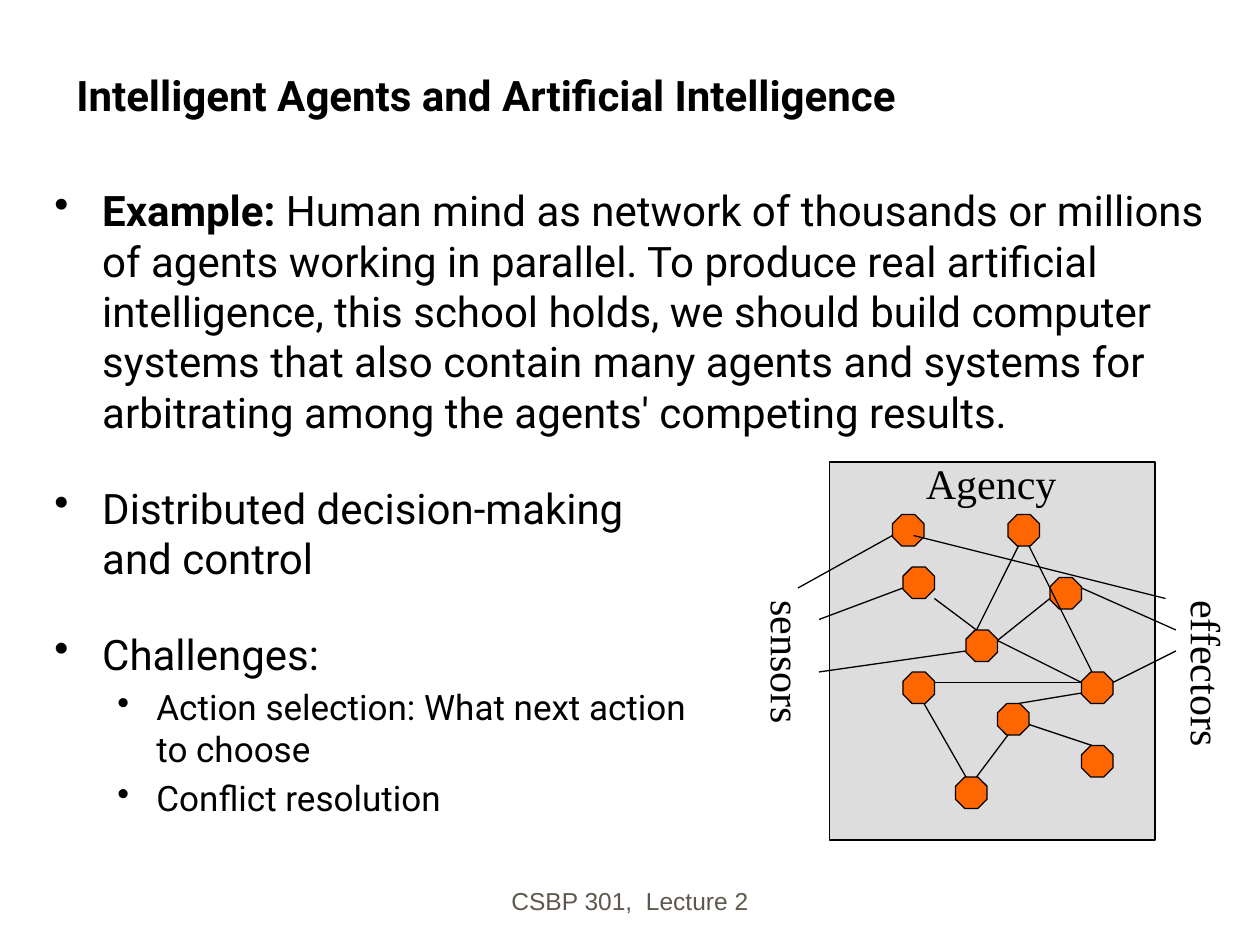
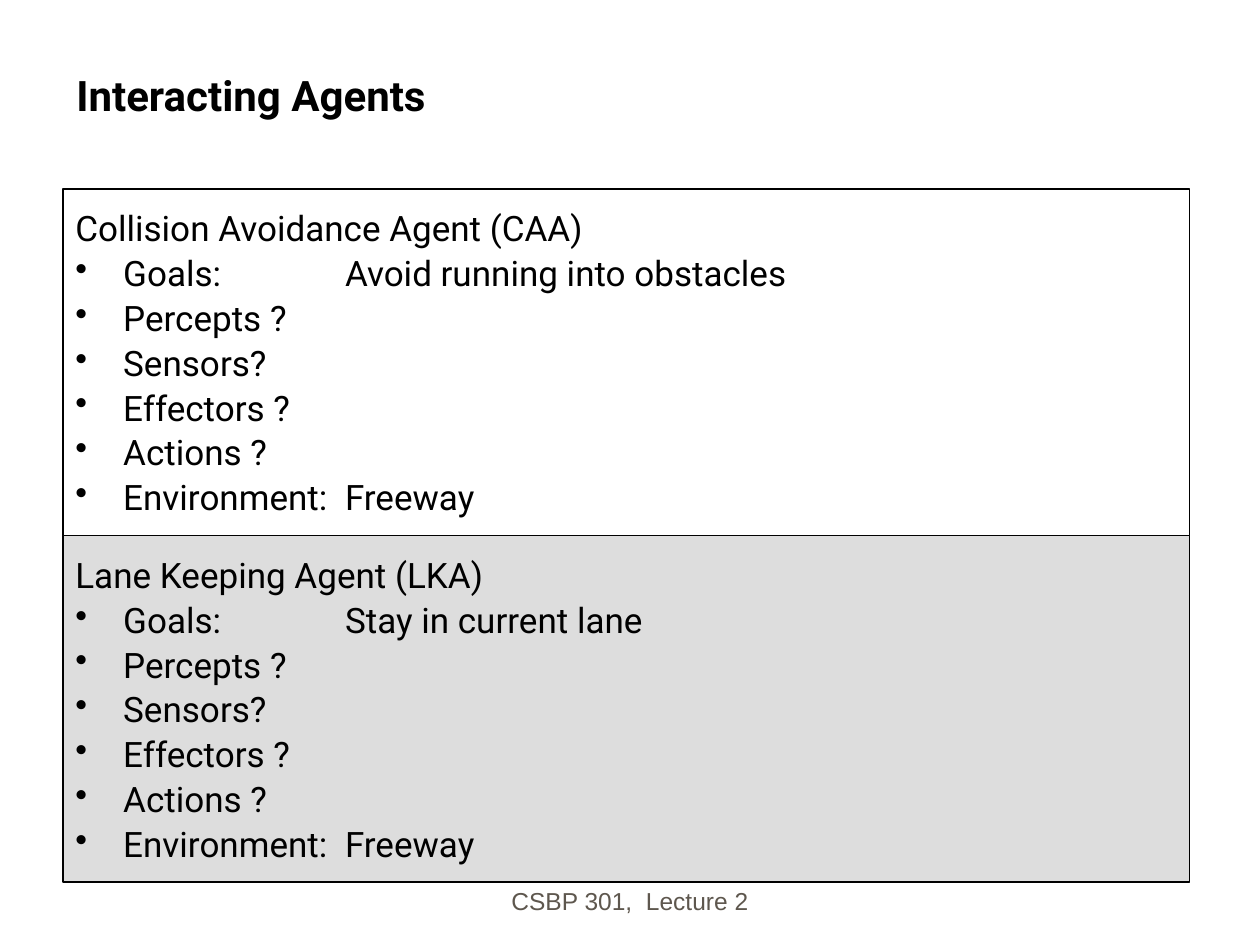
from lxml import etree
from pptx import Presentation
from pptx import util as u
from pptx.dml.color import RGBColor
from pptx.enum import shapes, text
from pptx.oxml import ns

BLACK = RGBColor(0x00, 0x00, 0x00)
FOOTER_GREY = RGBColor(0x5E, 0x57, 0x4E)
PANEL_GREY = RGBColor(0xDD, 0xDD, 0xDD)
AGENT_ORANGE = RGBColor(0xFF, 0x66, 0x00)
BODY_FONT, LABEL_FONT, FOOTER_FONT = "Roboto", "Times New Roman", "Arial"
LINE_WIDTH = u.Pt(0.75)

# The slide is a grid of 120 columns by 90 rows
COLUMNS, ROWS = 120, 90
presentation = Presentation()
presentation.slide_width, presentation.slide_height = u.Inches(10), u.Inches(7.5)
CELL = presentation.slide_width / COLUMNS


def grid(*cells):
    """Turn columns and rows into slide lengths."""
    return [u.Emu(round(cell * CELL)) for cell in cells]


def write(shape, content, size=24, font=BODY_FONT, color=BLACK, bold=False,
          lead="", align=text.PP_ALIGN.LEFT, anchor=text.MSO_ANCHOR.TOP,
          before=0, spacing=None, bullet_at=None, hang=0.38, tab=None):
    """Add one paragraph to a shape; lead is a bold opening."""
    frame = shape.text_frame
    frame.word_wrap, frame.vertical_anchor = True, anchor
    paragraph = frame.add_paragraph() if frame.text else frame.paragraphs[0]
    paragraph.alignment, paragraph.space_before = align, u.Pt(before)
    paragraph.line_spacing = spacing
    for number, line in enumerate(content.split("\n")):
        if number:
            paragraph.add_line_break()
        for words, is_bold in ((lead if number == 0 else "", True), (line, bold)):
            if words:
                run = paragraph.add_run()
                run.text = words
                run.font.name, run.font.size = font, u.Pt(size)
                run.font.bold, run.font.color.rgb = is_bold, color
    properties = paragraph._p.get_or_add_pPr()
    if bullet_at is not None:
        properties.set("marL", str(u.Inches(bullet_at + hang)))
        properties.set("indent", str(-u.Inches(hang)))
        etree.SubElement(properties, ns.qn("a:buChar")).set("char", "•")
    if tab is not None:
        stops = etree.SubElement(properties, ns.qn("a:tabLst"))
        stop = etree.SubElement(stops, ns.qn("a:tab"))
        stop.set("pos", str(u.Inches(tab)))
        stop.set("algn", "l")


# Titles and footers of both slides
slides = []
for title in ("Intelligent Agents and Artificial Intelligence", "Interacting Agents"):
    slide = presentation.slides.add_slide(presentation.slide_layouts[6])
    slides.append(slide)
    write(slide.shapes.add_textbox(*grid(6.1, 3, 107, 9)), title,
          bold=True, anchor=text.MSO_ANCHOR.BOTTOM)
    write(slide.shapes.add_textbox(*grid(41, 81.75, 38, 6)), "CSBP 301,  Lecture 2",
          size=14, font=FOOTER_FONT, color=FOOTER_GREY,
          align=text.PP_ALIGN.CENTER, anchor=text.MSO_ANCHOR.BOTTOM)
agency_slide, interaction_slide = slides

# Slide 1: bullets
body = agency_slide.shapes.add_textbox(*grid(4, 17, 113, 62.5))
write(body, " Human mind as network of thousands or millions of agents working in "
      "parallel. To produce real artificial intelligence, this school holds, we "
      "should build computer systems that also contain many agents and systems for "
      "arbitrating among the agents' competing results.",
      lead="Example:", bullet_at=0, before=4.8)
for point in ("Distributed decision-making\nand control", "Challenges:"):
    write(body, point, bullet_at=0, before=26)
for challenge in ("Action selection: What next action\nto choose", "Conflict resolution"):
    write(body, challenge, size=20, bullet_at=0.5, hang=0.31, before=4)

# Slide 1: agency panel and its agents
AGENT_SIZE = 3
agents = [(86, 54), (86, 64), (100, 55), (95, 67), (92, 60),
          (96, 49), (103, 71), (91, 74), (103, 64), (85, 49)]
network = [(shapes.MSO_SHAPE.RECTANGLE, (79, 44, 31, 36), PANEL_GREY)]
network += [(shapes.MSO_SHAPE.OCTAGON, (column, row, AGENT_SIZE, AGENT_SIZE), AGENT_ORANGE)
            for column, row in agents]
for kind, place, fill in network:
    shape = agency_slide.shapes.add_shape(kind, *grid(*place))
    shape.shadow.inherit = False
    shape.fill.solid()
    shape.fill.fore_color.rgb = fill
    shape.line.color.rgb, shape.line.width = BLACK, LINE_WIDTH

# Slide 1: links between agents, sensors and effectors
links = [(78, 59, 86, 56), (78, 64, 92, 62), (89, 57, 93, 60), (97, 52, 93, 60),
         (93, 74, 96, 70), (95, 61, 103, 65), (97, 67, 103, 66), (89, 65, 103, 65),
         (95, 61, 100, 57), (103, 56, 112, 60), (98, 52, 104, 64), (106, 65, 112, 62),
         (104, 71, 98, 69), (88, 67, 92, 74), (76, 56, 85, 51), (87, 51, 111, 57)]
for ends in links:
    link = agency_slide.shapes.add_connector(shapes.MSO_CONNECTOR.STRAIGHT, *grid(*ends))
    link.line.color.rgb, link.line.width = BLACK, LINE_WIDTH
    etree.SubElement(link._element.spPr, ns.qn("a:effectLst"))

# Slide 1: labels
for label, place, rotation in (("sensors", (67, 61, 16, 6), 90),
                               ("effectors", (106, 62, 18, 6), 90),
                               ("Agency", (87, 43, 16, 6), 0)):
    box = agency_slide.shapes.add_textbox(*grid(*place))
    box.rotation = rotation
    write(box, label, font=LABEL_FONT)

# Slide 2: one box per agent, stacked
BOX_TOP, BOX_HEIGHT = 18, 33
agent_goals = [("Collision Avoidance Agent (CAA)", "Avoid running into obstacles", None),
               ("Lane Keeping Agent (LKA)", "Stay in current lane", PANEL_GREY)]
for number, (agent, goal, fill) in enumerate(agent_goals):
    box = interaction_slide.shapes.add_shape(
        shapes.MSO_SHAPE.RECTANGLE,
        *grid(6, BOX_TOP + number * BOX_HEIGHT, 107.3, BOX_HEIGHT))
    box.shadow.inherit = False
    box.line.color.rgb, box.line.width = BLACK, LINE_WIDTH
    if fill is None:
        box.fill.background()
    else:
        box.fill.solid()
        box.fill.fore_color.rgb = fill
    box.text_frame.margin_top = u.Inches(0.18)
    write(box, agent, size=20, spacing=0.9)
    for feature in (f"Goals:\t{goal}", "Percepts ?", "Sensors?", "Effectors ?",
                    "Actions ?", "Environment:\tFreeway"):
        write(box, feature, size=20, spacing=0.9, before=4, bullet_at=0, tab=2.14)

presentation.save("out.pptx")
